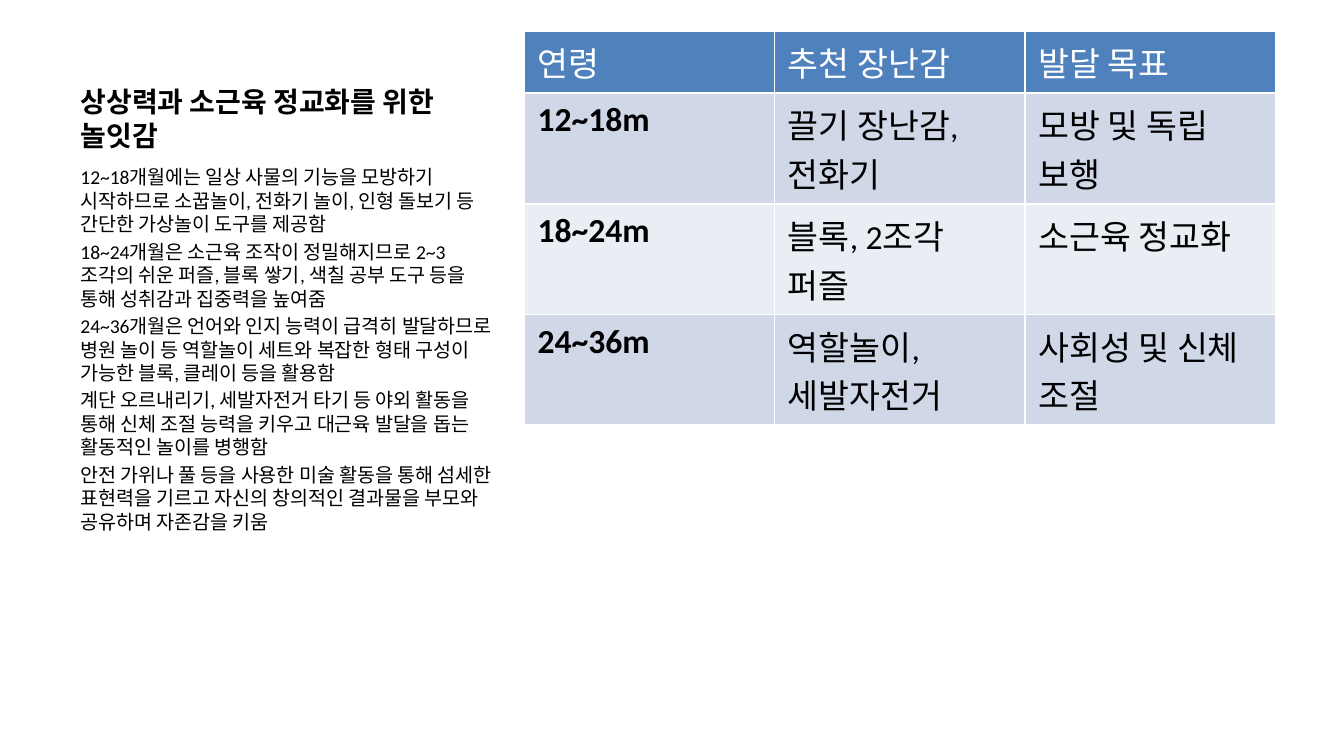
from typing import NamedTuple

from pptx import Presentation
from pptx.dml.color import RGBColor
from pptx.enum.text import MSO_ANCHOR, MSO_AUTO_SIZE, PP_ALIGN
from pptx.util import Inches, Pt

LEFT = PP_ALIGN.LEFT
TOP = MSO_ANCHOR.TOP
BOTTOM = MSO_ANCHOR.BOTTOM
NO_FIT = MSO_AUTO_SIZE.NONE

FONT = "Calibri"
COLORS = {
    "text": "000000",
    "white": "FFFFFF",
    "head": "4F81BD",
    "odd": "D0D8E8",
    "even": "E9EDF4",
}


class Box(NamedTuple):
    left: float
    top: float
    width: float
    height: float


class Toy(NamedTuple):
    age: str
    toys: str
    goal: str


TITLE = "상상력과 소근육 정교화를 위한 놀잇감"
NOTES = [
    "12~18개월에는 일상 사물의 기능을 모방하기 시작하므로 소꿉놀이, 전화기 놀이, "
    "인형 돌보기 등 간단한 가상놀이 도구를 제공함",
    "18~24개월은 소근육 조작이 정밀해지므로 2~3조각의 쉬운 퍼즐, 블록 쌓기, "
    "색칠 공부 도구 등을 통해 성취감과 집중력을 높여줌",
    "24~36개월은 언어와 인지 능력이 급격히 발달하므로 병원 놀이 등 역할놀이 세트와 "
    "복잡한 형태 구성이 가능한 블록, 클레이 등을 활용함",
    "계단 오르내리기, 세발자전거 타기 등 야외 활동을 통해 신체 조절 능력을 키우고 "
    "대근육 발달을 돕는 활동적인 놀이를 병행함",
    "안전 가위나 풀 등을 사용한 미술 활동을 통해 섬세한 표현력을 기르고 "
    "자신의 창의적인 결과물을 부모와 공유하며 자존감을 키움",
]
TOYS = [
    Toy("연령", "추천 장난감", "발달 목표"),
    Toy("12~18m", "끌기 장난감, 전화기", "모방 및 독립 보행"),
    Toy("18~24m", "블록, 2조각 퍼즐", "소근육 정교화"),
    Toy("24~36m", "역할놀이, 세발자전거", "사회성 및 신체 조절"),
]
HEAD_H, ROW_H = 0.46, 0.82

TITLE_BOX = Box(0.5, 0.23, 3.29, 0.95)
NOTE_BOX = Box(0.5, 1.18, 3.29, 3.85)
GRID_BOX = Box(3.9, 0.23, 5.59, HEAD_H + ROW_H * (len(TOYS) - 1))


def add_run(para, text: str, size: float, color: str, bold: bool = False) -> None:
    para.alignment = LEFT
    run = para.add_run()
    run.text = text
    run.font.name = FONT
    run.font.size = Pt(size)
    run.font.bold = bold
    run.font.color.rgb = RGBColor.from_string(COLORS[color])


def set_frame(frame, anchor) -> None:
    frame.word_wrap = True
    frame.auto_size = NO_FIT
    frame.vertical_anchor = anchor


def add_title(slide, box: Box) -> None:
    title = slide.shapes.title
    title.left, title.top, title.width, title.height = map(Inches, box)
    set_frame(title.text_frame, BOTTOM)
    add_run(title.text_frame.paragraphs[0], TITLE, 15, "text", True)


def add_notes(slide, box: Box) -> None:
    frame = slide.shapes.add_textbox(*map(Inches, box)).text_frame
    set_frame(frame, TOP)
    for i, note in enumerate(NOTES):
        para = frame.add_paragraph() if i else frame.paragraphs[0]
        para.space_before = Pt(2.1)
        add_run(para, note, 10.5, "text")


def add_grid(slide, box: Box) -> None:
    shape = slide.shapes.add_table(len(TOYS), len(Toy._fields), *map(Inches, box))
    grid = shape.table
    for r, toy in enumerate(TOYS):
        grid.rows[r].height = Inches(ROW_H if r else HEAD_H)
        band = "head" if r == 0 else "odd" if r % 2 else "even"
        for c, text in enumerate(toy):
            cell = grid.cell(r, c)
            cell.fill.solid()
            cell.fill.fore_color.rgb = RGBColor.from_string(COLORS[band])
            color = "text" if r else "white"
            add_run(cell.text_frame.paragraphs[0], text, 18, color, r > 0 and c == 0)


def main() -> None:
    # Wide 16:9 slide
    deck = Presentation()
    deck.slide_width = Inches(10)
    deck.slide_height = deck.slide_width * 9 // 16
    slide = deck.slides.add_slide(deck.slide_layouts[5])

    # Heading and notes on the left
    add_title(slide, TITLE_BOX)
    add_notes(slide, NOTE_BOX)

    # Toys by age on the right
    add_grid(slide, GRID_BOX)

    deck.save("out.pptx")


if __name__ == "__main__":
    main()
